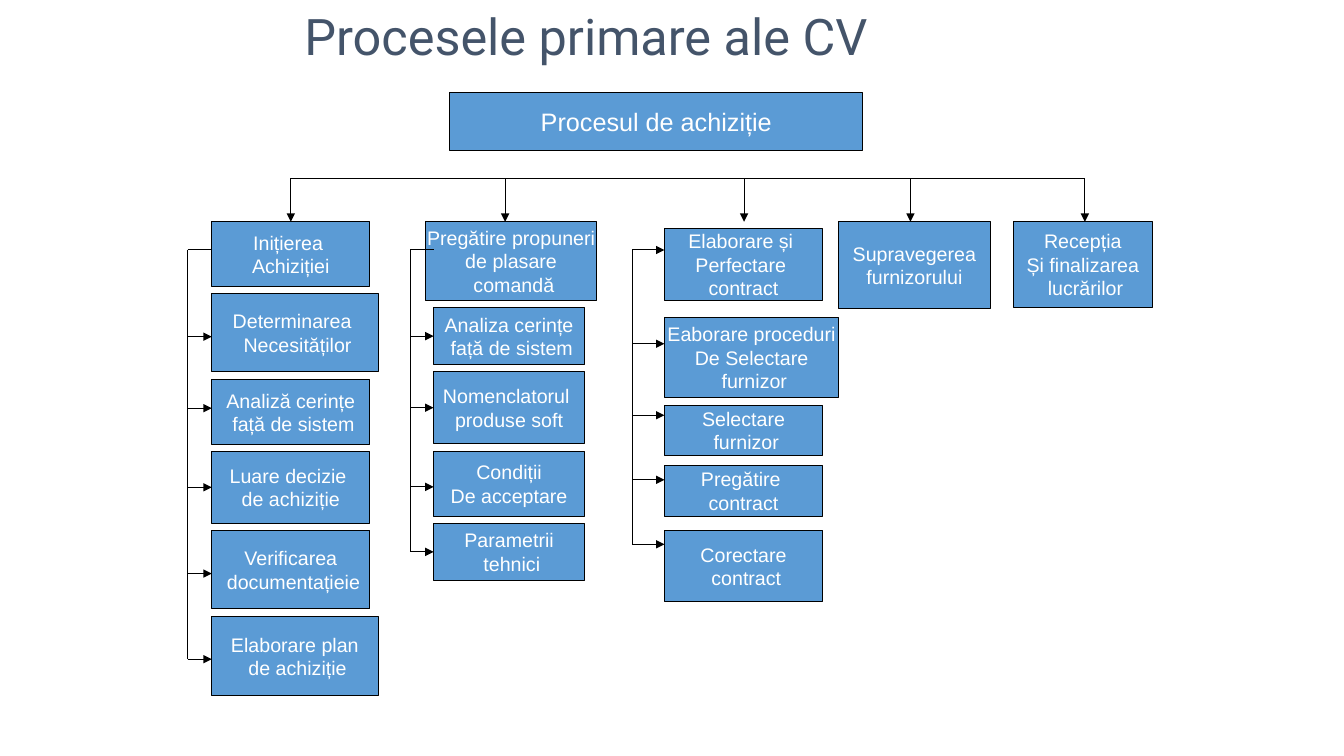
from lxml import etree
from pptx import Presentation
from pptx.dml import color
from pptx.enum import shapes, text
from pptx.oxml import ns
from pptx.util import Inches, Pt

BLUE, BLACK, WHITE, SLATE = "5B9BD5", "000000", "FFFFFF", "44546A"
BUS_Y, HEAD_Y = 1.77, 2.2
SNAP = 0.01

# left, top, width, height, lines of text
STAGES = [
    (2.1, 2.2, 1.57, 0.64, ["Inițierea ", "Achiziției"]),
    (4.22, 2.2, 1.7, 0.78, ["Pregătire propuneri", " de plasare ", " comandă"]),
    (6.59, 2.27, 1.57, 0.71, ["Elaborare și ", "Perfectare ", "contract"]),
    (8.32, 2.2, 1.5, 0.86, ["Supravegerea", "furnizorului"]),
    (10.05, 2.2, 1.38, 0.85, ["Recepția", "Și finalizarea", " lucrărilor"]),
]
DROPS = [2.89, 5.01, 7.38, 9.03, 10.76]

# One entry per branch; each step is top, width, height, arrow height, lines
BRANCHES = [
    {"trunk": 1.86, "left": 2.1, "arrow_to_stage": False, "steps": [
        (2.91, 1.65, 0.78, 3.34, ["Determinarea ", " Necesităților"]),
        (3.77, 1.57, 0.64, 4.05, ["Analiză cerințe", " față de sistem"]),
        (4.48, 1.57, 0.71, 4.83, ["Luare decizie ", "de achiziție"]),
        (5.26, 1.57, 0.78, 5.69, ["Verificarea", " documentațieiе"]),
        (6.12, 1.65, 0.78, 6.54, ["Elaborare plan", " de achiziție"])]},
    {"trunk": 4.07, "left": 4.3, "arrow_to_stage": False, "steps": [
        (3.05, 1.5, 0.57, 3.34, ["Analiza cerințe", " față de sistem"]),
        (3.69, 1.5, 0.71, 4.05, ["Nomenclatorul ", "produse soft"]),
        (4.48, 1.5, 0.64, 4.83, ["Condiții", "De acceptare"]),
        (5.19, 1.5, 0.57, 5.48, ["Parametrii", " tehnici"])]},
    {"trunk": 6.27, "left": 6.59, "arrow_to_stage": True, "steps": [
        (3.15, 1.73, 0.79, 3.41, ["Eaborare proceduri", "De Selectare", " furnizor"]),
        (4.02, 1.57, 0.5, 4.12, ["Selectare", " furnizor"]),
        (4.62, 1.57, 0.5, 4.76, ["Pregătire ", "contract"]),
        (5.26, 1.57, 0.71, 5.4, ["Corectare", " contract"])]},
]
STAGE_Y = 2.48


def rgb(value):
    return color.RGBColor.from_string(value)


def write(frame, lines, size, font, ink, align):
    for index, line in enumerate(lines):
        para = frame.paragraphs[0] if index == 0 else frame.add_paragraph()
        para.alignment = align
        span = para.add_run()
        span.text = line
        for name, value in {"name": font, "size": Pt(size)}.items():
            setattr(span.font, name, value)
        span.font.color.rgb = rgb(ink)


def add_box(page, left, top, width, height, lines, size=14):
    box = page.shapes.add_shape(shapes.MSO_SHAPE.RECTANGLE, Inches(left),
                                Inches(top), Inches(width), Inches(height))
    box.shadow.inherit = False
    box.fill.solid()
    box.fill.fore_color.rgb = rgb(BLUE)
    box.line.color.rgb = rgb(BLACK)
    box.line.width = Pt(0.75)
    settings = {"word_wrap": False, "vertical_anchor": text.MSO_ANCHOR.MIDDLE}
    for name, value in settings.items():
        setattr(box.text_frame, name, value)
    write(box.text_frame, lines, size, "Arial", WHITE, text.PP_ALIGN.CENTER)
    return box


def add_line(page, x1, y1, x2, y2, arrow=False):
    line = page.shapes.add_connector(shapes.MSO_CONNECTOR.STRAIGHT, Inches(x1),
                                     Inches(y1), Inches(x2), Inches(y2))
    line.line.color.rgb = rgb(BLACK)
    line.line.width = Pt(0.75)
    if arrow:
        stroke = line.line._get_or_add_ln()
        etree.SubElement(stroke, ns.qn("a:tailEnd"), type="triangle")
    etree.SubElement(line._element.spPr, ns.qn("a:effectLst"))
    return line


def add_drop(page, x, box):
    """Arrow down from the bus, joined to the box where it meets its top middle."""
    middle = box.left + box.width // 2
    joins = abs(middle - Inches(x)) <= Inches(SNAP) and box.top == Inches(HEAD_Y)
    x = middle / Inches(1) if joins else x
    drop = add_line(page, x, BUS_Y, x, HEAD_Y, arrow=True)
    if joins:
        drop.end_connect(box, 0)


def add_step_arrow(page, trunk, left, y, box):
    """Arrow from the trunk, joined to the box where it meets its left middle."""
    middle = box.top + box.height // 2
    joins = abs(middle - Inches(y)) <= Inches(SNAP)
    y = middle / Inches(1) if joins else y
    arrow = add_line(page, trunk, y, left, y, arrow=True)
    if joins:
        arrow.end_connect(box, 1)


def add_branch(page, trunk, left, arrow_to_stage, steps):
    add_line(page, trunk, STAGE_Y, left, STAGE_Y, arrow_to_stage)
    add_line(page, trunk, STAGE_Y, trunk, steps[-1][3])
    for top, width, height, arrow_y, lines in steps:
        box = add_box(page, left, top, width, height, lines)
        add_step_arrow(page, trunk, left, arrow_y, box)


def add_title(page, title):
    box = page.shapes.add_textbox(Inches(2.92), Inches(0), Inches(7.02), Inches(0.7))
    box.text_frame.word_wrap = True
    write(box.text_frame, [title], 36, "Roboto", SLATE, text.PP_ALIGN.LEFT)


def main():
    deck = Presentation()
    deck.slide_width, deck.slide_height = Inches(13.33), Inches(7.5)
    page = deck.slides.add_slide(deck.slide_layouts[6])
    add_title(page, "Procesele primare ale CV")
    add_box(page, 4.46, 0.92, 4.1, 0.57, ["Procesul de achiziție"], size=18)
    add_line(page, DROPS[0], BUS_Y, DROPS[-1], BUS_Y)
    for stage, x in zip(STAGES, DROPS):
        add_drop(page, x, add_box(page, *stage))
    for branch in BRANCHES:
        add_branch(page, **branch)
    deck.save("out.pptx")


if __name__ == "__main__":
    main()
